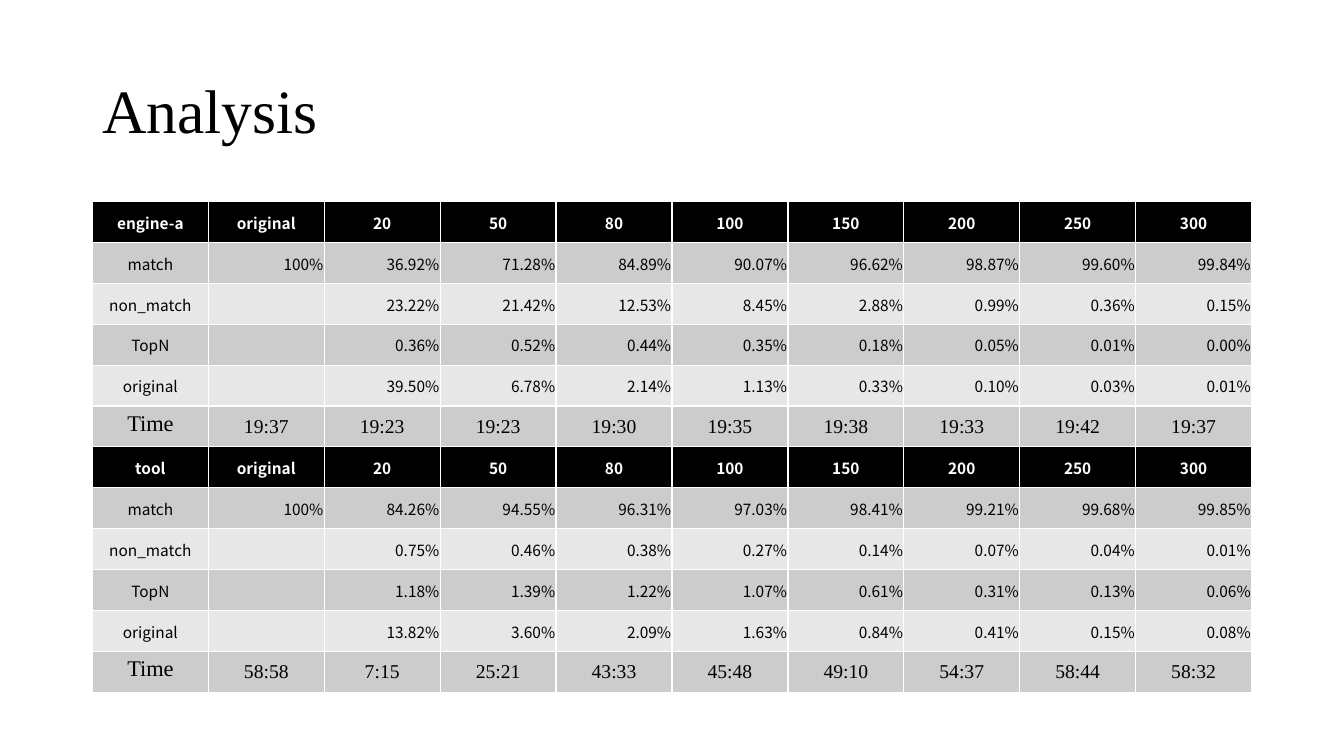
from lxml.etree import SubElement
from pptx import Presentation
from pptx.dml.color import RGBColor
from pptx.enum.text import MSO_ANCHOR as Anchor, PP_ALIGN as Align
from pptx.oxml.ns import qn
from pptx.util import Cm, Pt

BLACK = RGBColor(0x00, 0x00, 0x00)
WHITE = RGBColor(0xFF, 0xFF, 0xFF)
DARK_BAND = RGBColor(0xCC, 0xCC, 0xCC)
LIGHT_BAND = RGBColor(0xE7, 0xE7, 0xE7)
SERIF = "Times New Roman"
SANS = "Noto Sans CJK KR"

PEAK_COUNTS = ["original", "20", "50", "80", "100", "150", "200", "250", "300"]
ENGINES = {
    "engine-a": [
        ["match", "100%", "36.92%", "71.28%", "84.89%", "90.07%", "96.62%", "98.87%", "99.60%", "99.84%"],
        ["non_match", "", "23.22%", "21.42%", "12.53%", "8.45%", "2.88%", "0.99%", "0.36%", "0.15%"],
        ["TopN", "", "0.36%", "0.52%", "0.44%", "0.35%", "0.18%", "0.05%", "0.01%", "0.00%"],
        ["original", "", "39.50%", "6.78%", "2.14%", "1.13%", "0.33%", "0.10%", "0.03%", "0.01%"],
        ["Time", "19:37", "19:23", "19:23", "19:30", "19:35", "19:38", "19:33", "19:42", "19:37"],
    ],
    "tool": [
        ["match", "100%", "84.26%", "94.55%", "96.31%", "97.03%", "98.41%", "99.21%", "99.68%", "99.85%"],
        ["non_match", "", "0.75%", "0.46%", "0.38%", "0.27%", "0.14%", "0.07%", "0.04%", "0.01%"],
        ["TopN", "", "1.18%", "1.39%", "1.22%", "1.07%", "0.61%", "0.31%", "0.13%", "0.06%"],
        ["original", "", "13.82%", "3.60%", "2.09%", "1.63%", "0.84%", "0.41%", "0.15%", "0.08%"],
        ["Time", "58:58", "7:15", "25:21", "43:33", "45:48", "49:10", "54:37", "58:44", "58:32"],
    ],
}


def set_font(paragraph, name, size, color, bold=False):
    font = paragraph.font
    font.name, font.size, font.bold = name, Pt(size), bold
    font.color.rgb = color


def add_title(slide, text, left, top, width, height):
    frame = slide.shapes.add_textbox(left, top, width, height).text_frame
    frame.word_wrap = True
    frame.vertical_anchor = Anchor.MIDDLE
    paragraph = frame.paragraphs[0]
    paragraph.text = text
    paragraph.line_spacing = 0.9
    set_font(paragraph, SERIF, 44, BLACK)


def set_borders(cell, color, width):
    """Outline the cell; borders must precede the fill in the cell properties."""
    properties = cell._tc.get_or_add_tcPr()
    for side in ("lnL", "lnR", "lnT", "lnB"):
        line = SubElement(properties, qn(f"a:{side}"), w=str(width))
        fill = SubElement(line, qn("a:solidFill"))
        SubElement(fill, qn("a:srgbClr"), val=str(color))


def fill_cell(cell, text, background):
    set_borders(cell, WHITE, Pt(1))
    cell.fill.solid()
    cell.fill.fore_color.rgb = background
    cell.vertical_anchor = Anchor.MIDDLE
    cell.margin_left = cell.margin_right = cell.margin_top = Cm(0.02)
    cell.margin_bottom = 0
    paragraph = cell.text_frame.paragraphs[0]
    paragraph.text = text
    paragraph.alignment = Align.RIGHT if text.endswith("%") else Align.CENTER
    if background == BLACK:
        set_font(paragraph, SANS, 11, WHITE, bold=True)
    elif text == "Time":
        set_font(paragraph, SERIF, 16, BLACK)
        cell.vertical_anchor = Anchor.TOP
        cell.margin_top = Cm(0.13)
    elif ":" in text:
        set_font(paragraph, SERIF, 14, BLACK)
    else:
        set_font(paragraph, SANS, 11, BLACK)


def add_results_table(slide, left, top, width, height):
    rows = []
    for engine, results in ENGINES.items():
        rows.append((BLACK, [engine, *PEAK_COUNTS]))
        for index, values in enumerate(results):
            rows.append((LIGHT_BAND if index % 2 else DARK_BAND, values))
    column_count = len(PEAK_COUNTS) + 1
    table = slide.shapes.add_table(len(rows), column_count, left, top, width, height).table
    table.first_row = table.horz_banding = False
    for row_index, (background, values) in enumerate(rows):
        for column_index, text in enumerate(values):
            fill_cell(table.cell(row_index, column_index), text, background)


def main():
    presentation = Presentation()
    presentation.slide_width, presentation.slide_height = Cm(33.87), Cm(19.05)
    slide = presentation.slides.add_slide(presentation.slide_layouts[6])
    left, width = Cm(2.33), Cm(29.21)
    add_title(slide, "Analysis", left, Cm(1.01), width, Cm(3.68))
    add_results_table(slide, left, Cm(5.08), width, Cm(12.36))
    presentation.save("out.pptx")


if __name__ == "__main__":
    main()
